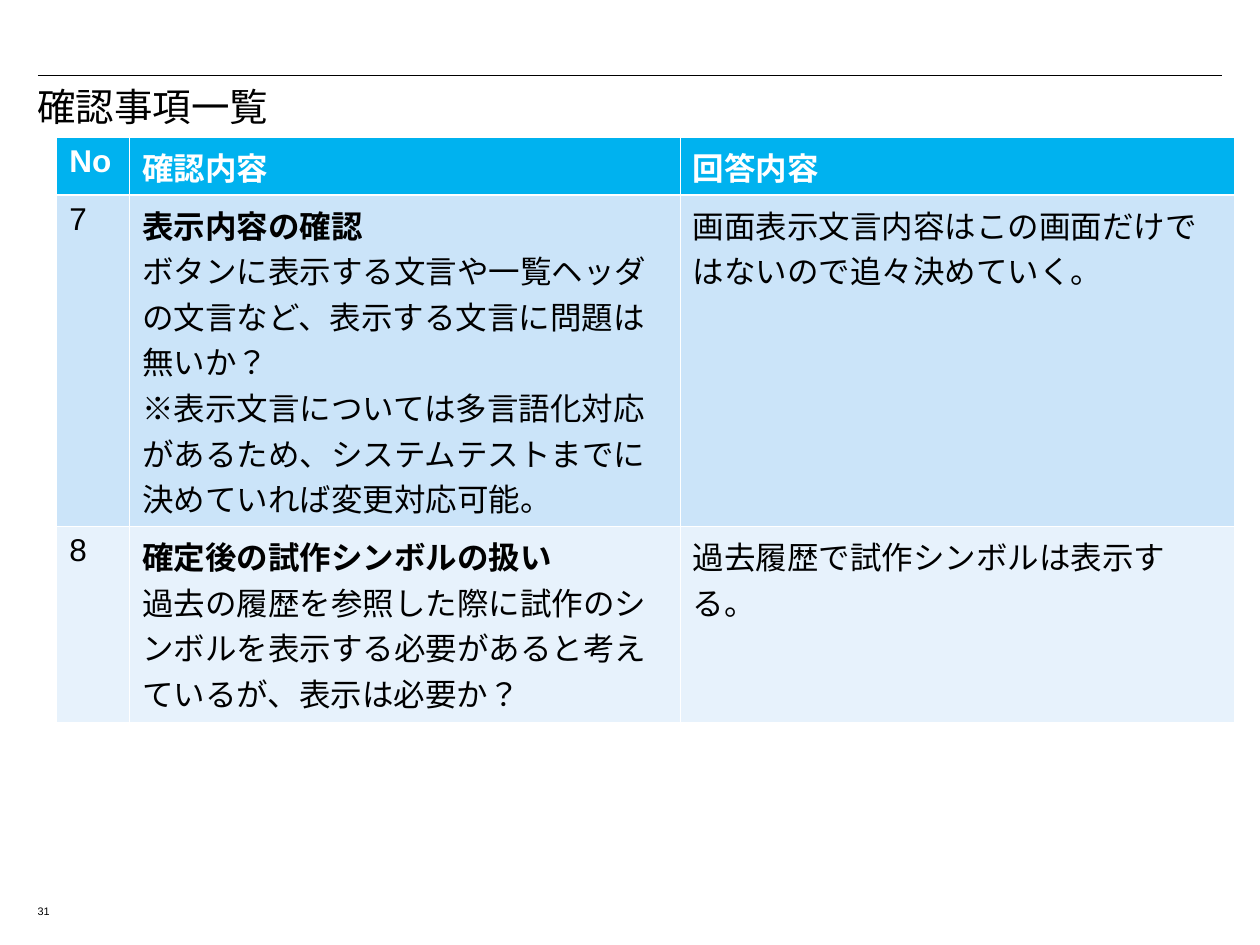
from dataclasses import dataclass

from lxml.etree import SubElement
from pptx import Presentation
from pptx.dml.color import RGBColor
from pptx.enum.lang import MSO_LANGUAGE_ID
from pptx.enum.shapes import MSO_CONNECTOR
from pptx.oxml.ns import qn
from pptx.util import Inches, Pt

BLACK, WHITE = "000000", "FFFFFF"
HEADER_FILL = "00B2EF"
THIN, THICK = 0.45, 1.47
COLUMN_WIDTHS = (0.58, 4.37, 4.4)


@dataclass
class Label:
    text: str
    left: float
    top: float
    width: float
    height: float
    size: float
    line_spacing: float


@dataclass
class Row:
    cells: tuple[str, str, str]
    height: float
    fill: str
    color: str = BLACK
    header: bool = False
    top_border: float = THIN
    bottom_border: float = THIN


LABELS = [
    Label("31", 0.2, 7.15, 0.4, 0.2, 6.2, 0.8),
    Label("確認事項一覧", 0.2, 0.65, 9.65, 0.57, 22, 0.9),
]

ROWS = [
    Row(("No", "確認内容", "回答内容"), 0.46, HEADER_FILL, WHITE,
        header=True, bottom_border=THICK),
    Row(("7",
         "表示内容の確認\n"
         "ボタンに表示する文言や一覧ヘッダの文言など、表示する文言に問題は無いか？\n"
         "※表示文言については多言語化対応があるため、"
         "システムテストまでに決めていれば変更対応可能。",
         "画面表示文言内容はこの画面だけではないので追々決めていく。"),
        2.63, "CBE4F9", top_border=THICK),
    Row(("8",
         "確定後の試作シンボルの扱い\n"
         "過去の履歴を参照した際に試作のシンボルを表示する必要があると"
         "考えているが、表示は必要か？",
         "過去履歴で試作シンボルは表示する。"),
        1.55, "E7F2FC"),
]


def rgb(value: str) -> RGBColor:
    return RGBColor.from_string(value)


def format_paragraph(paragraph, size: float, color: str, bold: bool = False) -> None:
    # Closing punctuation stays inside the margin
    paragraph._p.get_or_add_pPr().set("hangingPunct", "0")
    for run in paragraph.runs:
        run.font.name = "Arial"
        run.font.size = Pt(size)
        run.font.bold = bold
        run.font.color.rgb = rgb(color)
        run.font.language_id = MSO_LANGUAGE_ID.JAPANESE


def add_label(slide, label: Label) -> None:
    shape = slide.shapes.add_textbox(Inches(label.left), Inches(label.top),
                                     Inches(label.width), Inches(label.height))
    shape.text_frame.word_wrap = True
    paragraph = shape.text_frame.paragraphs[0]
    paragraph.text = label.text
    paragraph.line_spacing = label.line_spacing
    format_paragraph(paragraph, label.size, BLACK)


def add_rule(slide) -> None:
    line = slide.shapes.add_connector(MSO_CONNECTOR.STRAIGHT, Inches(0.3), Inches(0.6),
                                      Inches(9.7), Inches(0.6))
    line.line.color.rgb = rgb(BLACK)
    line.line.width = Pt(0.74)
    SubElement(line._element.spPr, qn("a:effectLst"))


def set_borders(cell, top: float, bottom: float) -> None:
    properties = cell._tc.get_or_add_tcPr()
    for side, width in (("L", THIN), ("R", THIN), ("T", top), ("B", bottom)):
        border = SubElement(properties, qn(f"a:ln{side}"), w=str(Pt(width)))
        fill = SubElement(border, qn("a:solidFill"))
        SubElement(fill, qn("a:srgbClr"), val=WHITE)


def fill_cell(cell, text: str, row: Row, column: int) -> None:
    set_borders(cell, row.top_border, row.bottom_border)
    cell.fill.solid()
    cell.fill.fore_color.rgb = rgb(row.fill)
    cell.text_frame.text = text
    for index, paragraph in enumerate(cell.text_frame.paragraphs):
        # The first line of each question is its heading
        heading = column == 1 and index == 0
        format_paragraph(paragraph, 18, row.color, row.header or heading)


def add_question_table(slide) -> None:
    table = slide.shapes.add_table(
        len(ROWS), len(COLUMN_WIDTHS), Inches(0.45), Inches(1.09),
        Inches(sum(COLUMN_WIDTHS)), Inches(sum(row.height for row in ROWS))).table
    for column, width in zip(table.columns, COLUMN_WIDTHS):
        column.width = Inches(width)
    for row_index, row in enumerate(ROWS):
        table.rows[row_index].height = Inches(row.height)
        for column_index, text in enumerate(row.cells):
            fill_cell(table.cell(row_index, column_index), text, row, column_index)


presentation = Presentation()
presentation.slide_width = Inches(10)
presentation.slide_height = Inches(7.5)
slide = presentation.slides.add_slide(presentation.slide_layouts[6])

# Rule, page number and title
add_rule(slide)
for label in LABELS:
    add_label(slide, label)

# Questions and answers
add_question_table(slide)

presentation.save("out.pptx")
